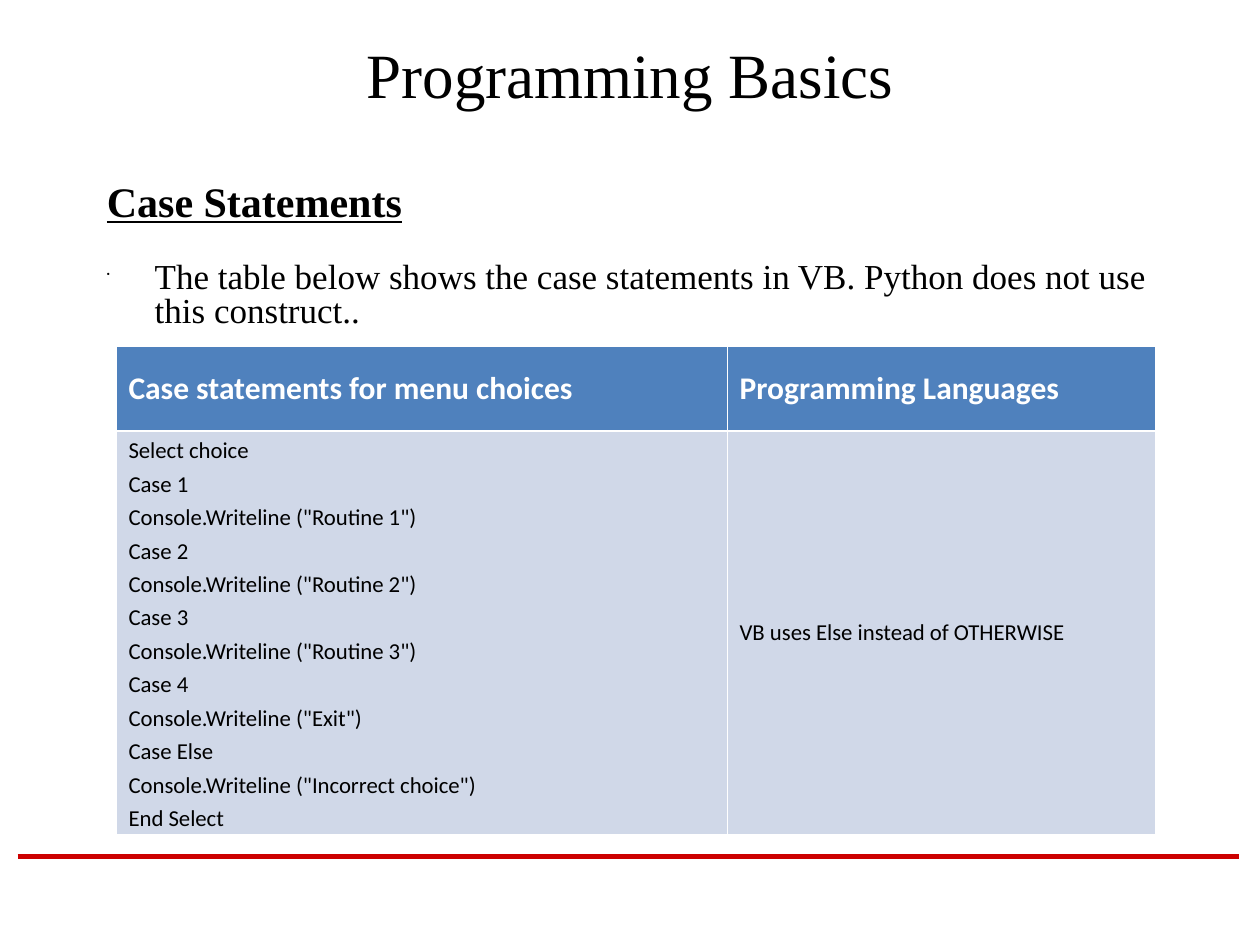
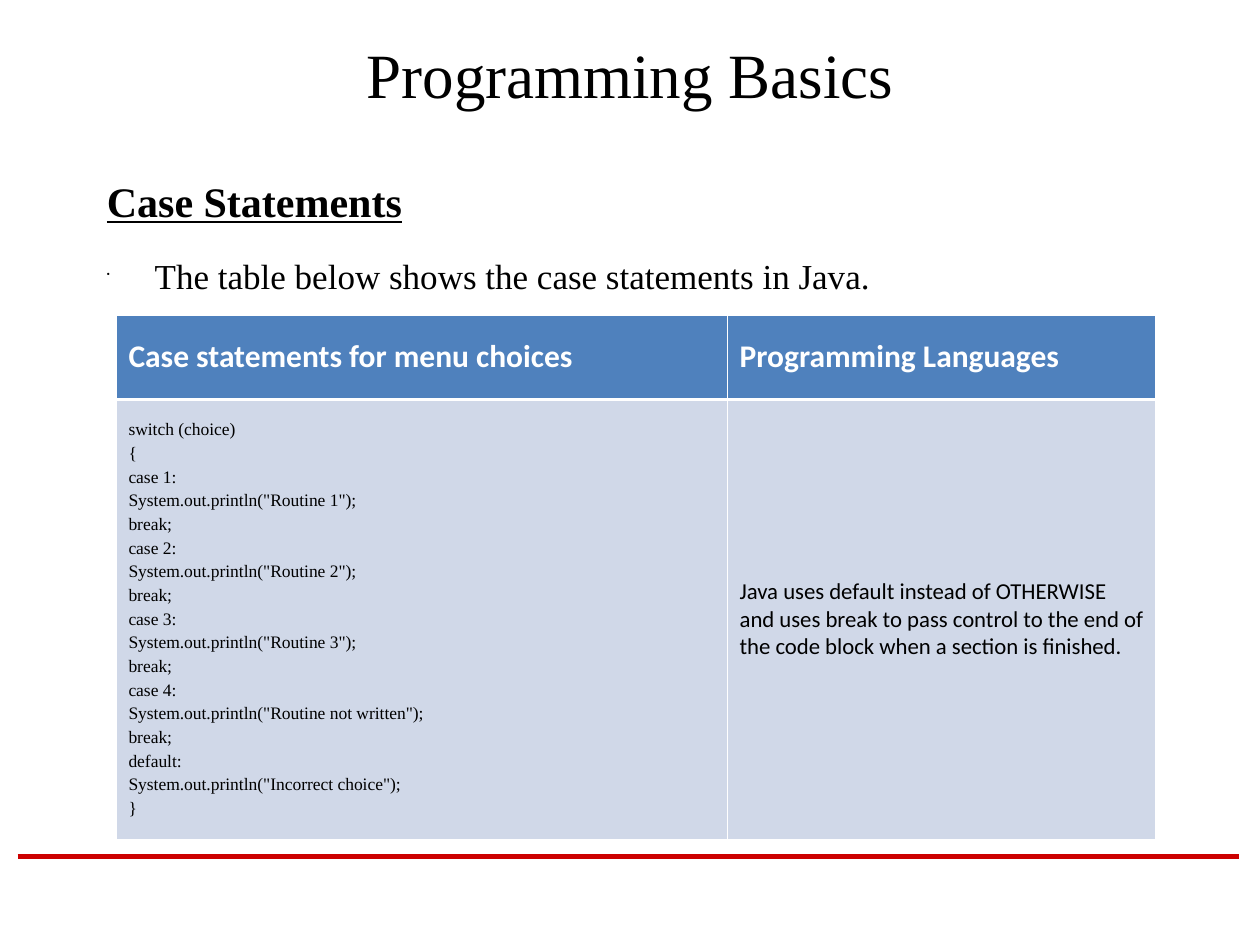
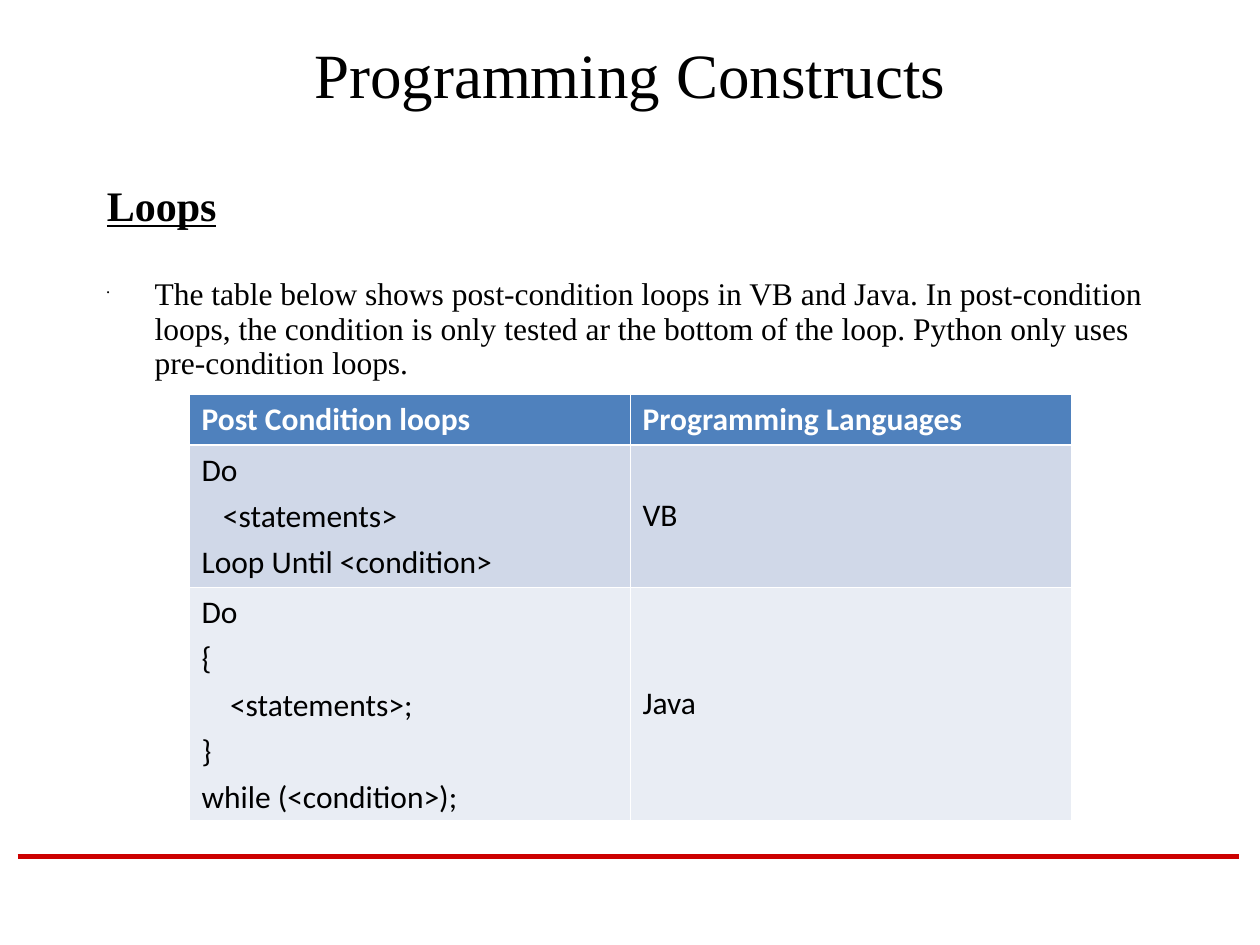
from lxml import etree
from pptx import Presentation
from pptx.dml.color import RGBColor
from pptx.enum.shapes import MSO_CONNECTOR
from pptx.enum.text import MSO_ANCHOR, PP_ALIGN
from pptx.oxml.ns import qn
from pptx.util import Inches, Pt

MIDDLE, CENTER, STRAIGHT = MSO_ANCHOR.MIDDLE, PP_ALIGN.CENTER, MSO_CONNECTOR.STRAIGHT
SERIF, SANS = "Times New Roman", "Calibri"
BLACK, WHITE, RED = "000000", "FFFFFF", "CC0000"
HEADER_FILL, BANDS = "4F81BD", ("D0D8E8", "E9EDF4")
THIN, THICK = 0.45, 1.47
MARGIN, CONTENT_W = 0.75, 8.5

VB_CASE = """Select choice
Case 1
Console.Writeline ("Routine 1")
Case 2
Console.Writeline ("Routine 2")
Case 3
Console.Writeline ("Routine 3")
Case 4
Console.Writeline ("Exit")
Case Else
Console.Writeline ("Incorrect choice")
End Select"""

JAVA_CASE = """switch (choice)
{
case 1:
System.out.println("Routine 1");
break;
case 2:
System.out.println("Routine 2");
break;
case 3:
System.out.println("Routine 3");
break;
case 4:
System.out.println("Routine not written");
break;
default:
System.out.println("Incorrect choice");
}"""

VB_LOOP = """Do
   <statements>
Loop Until <condition>"""

JAVA_LOOP = """Do
{
    <statements>;
}
while (<condition>);"""


def rgb(value):
    return RGBColor.from_string(value)


def write(p, text, size=18, font=SERIF, color=BLACK, bold=False,
          underline=False, before=0, spacing=None, align=None):
    """Fill one paragraph with one formatted run."""
    p.space_before = Pt(before)
    if spacing:
        p.line_spacing = spacing
    if align is not None:
        p.alignment = align
    r = p.add_run()
    r.text = text
    r.font.size, r.font.name = Pt(size), font
    r.font.bold, r.font.underline = bold, underline
    r.font.color.rgb = rgb(color)


def add_bullet(p, indent=0.38):
    """Give a paragraph a small hanging bullet."""
    pPr = p._p.get_or_add_pPr()
    pPr.set("marL", str(Inches(indent)))
    pPr.set("indent", str(-Inches(indent)))
    color = etree.SubElement(pPr, qn("a:buClr"))
    etree.SubElement(color, qn("a:srgbClr"), val=BLACK)
    etree.SubElement(pPr, qn("a:buSzPct"), val="25000")
    etree.SubElement(pPr, qn("a:buChar"), char="•")


def set_borders(cell, top, bottom):
    """White cell borders; python-pptx has no method for them."""
    tcPr = cell._tc.get_or_add_tcPr()
    widths = (("a:lnL", THIN), ("a:lnR", THIN), ("a:lnT", top), ("a:lnB", bottom))
    for i, (tag, width) in enumerate(widths):
        ln = etree.Element(qn(tag), w=str(Pt(width)))
        fill = etree.SubElement(ln, qn("a:solidFill"))
        etree.SubElement(fill, qn("a:srgbClr"), val=WHITE)
        tcPr.insert(i, ln)


def add_base(prs, title):
    """New slide with the shared title and red footer rule."""
    s = prs.slides.add_slide(prs.slide_layouts[5])
    rule = s.shapes.add_connector(STRAIGHT, Inches(0.14), Inches(6.8),
                                  Inches(9.83), Inches(6.8))
    rule.line.color.rgb, rule.line.width = rgb(RED), Pt(3)
    etree.SubElement(rule._element.spPr, qn("a:effectLst"))
    sp = s.shapes.title
    sp.left, sp.top = Inches(MARGIN), Inches(0.17)
    sp.width, sp.height = Inches(CONTENT_W), Inches(0.83)
    sp.text_frame.vertical_anchor = MIDDLE
    write(sp.text_frame.paragraphs[0], title, size=36, align=CENTER)
    return s


def add_intro(s, heading, text, size, spacing, gap):
    """Underlined heading with one bullet below it."""
    sp = s.shapes.add_textbox(Inches(MARGIN), Inches(1.42),
                              Inches(CONTENT_W), Inches(4.5))
    tf = sp.text_frame
    tf.word_wrap = True
    write(tf.paragraphs[0], heading, size=24, bold=True, underline=True,
          spacing=spacing)
    p = tf.add_paragraph()
    add_bullet(p)
    write(p, text, size=size, before=gap, spacing=spacing)


def add_code_table(s, left, top, cols, rows, header, body,
                   code_size=18, code_font=SANS, note_size=18):
    """Header row over rows that pair code with a note."""
    frame = s.shapes.add_table(len(rows), len(cols), Inches(left), Inches(top),
                               Inches(sum(cols)), Inches(sum(rows)))
    table = frame.table
    for col, width in zip(table.columns, cols):
        col.width = Inches(width)
    for row, height in zip(table.rows, rows):
        row.height = Inches(height)
    for i, texts in enumerate([header, *body]):
        is_header = i == 0
        for j, text in enumerate(texts):
            cell = table.cell(i, j)
            cell.vertical_anchor = MIDDLE
            cell.fill.solid()
            cell.fill.fore_color.rgb = rgb(HEADER_FILL if is_header else BANDS[(i - 1) % 2])
            set_borders(cell, top=THICK if i == 1 else THIN,
                        bottom=THICK if is_header else THIN)
            if is_header:
                style = dict(size=18, font=SANS, color=WHITE, bold=True)
            elif j == 0:
                style = dict(size=code_size, font=code_font)
            else:
                style = dict(size=note_size, font=SANS)
            tf = cell.text_frame
            for n, line in enumerate(text.split("\n")):
                p = tf.add_paragraph() if n else tf.paragraphs[0]
                write(p, line, before=style["size"] / 4 if n else 0, **style)


def case_slide(prs, intro, top, body_height, code, note, code_size, code_font):
    s = add_base(prs, "Programming Basics")
    add_intro(s, "Case Statements", intro, size=20, spacing=0.8, gap=21.4)
    add_code_table(s, 0.92, top, (4.85, 3.4), (0.67, body_height),
                   ("Case statements for menu choices", "Programming Languages"),
                   [(code, note)], code_size, code_font, note_size=13)


def loop_slide(prs):
    s = add_base(prs, "Programming Constructs")
    add_intro(s, "Loops",
              "The table below shows post-condition loops in VB and Java. "
              "In post-condition loops, the condition is only tested ar the bottom "
              "of the loop. Python only uses pre-condition loops.",
              size=18, spacing=0.9, gap=27.6)
    add_code_table(s, 1.5, 3.13, (3.5, 3.5), (0.4, 1.13, 1.85),
                   ("Post Condition loops", "Programming Languages"),
                   [(VB_LOOP, "VB"), (JAVA_LOOP, "Java")])


def main():
    prs = Presentation()
    prs.slide_width, prs.slide_height = Inches(10), Inches(7.5)
    case_slide(prs, "The table below shows the case statements in VB. "
               "Python does not use this construct..", 2.75, 3.2,
               VB_CASE, "VB uses Else instead of OTHERWISE", 13, SANS)
    case_slide(prs, "The table below shows the case statements in Java.", 2.5, 3.49,
               JAVA_CASE, "Java uses default instead of OTHERWISE and uses break to "
               "pass control to the end of the code block when a section is finished.",
               10, SERIF)
    loop_slide(prs)
    prs.save("out.pptx")


if __name__ == "__main__":
    main()
